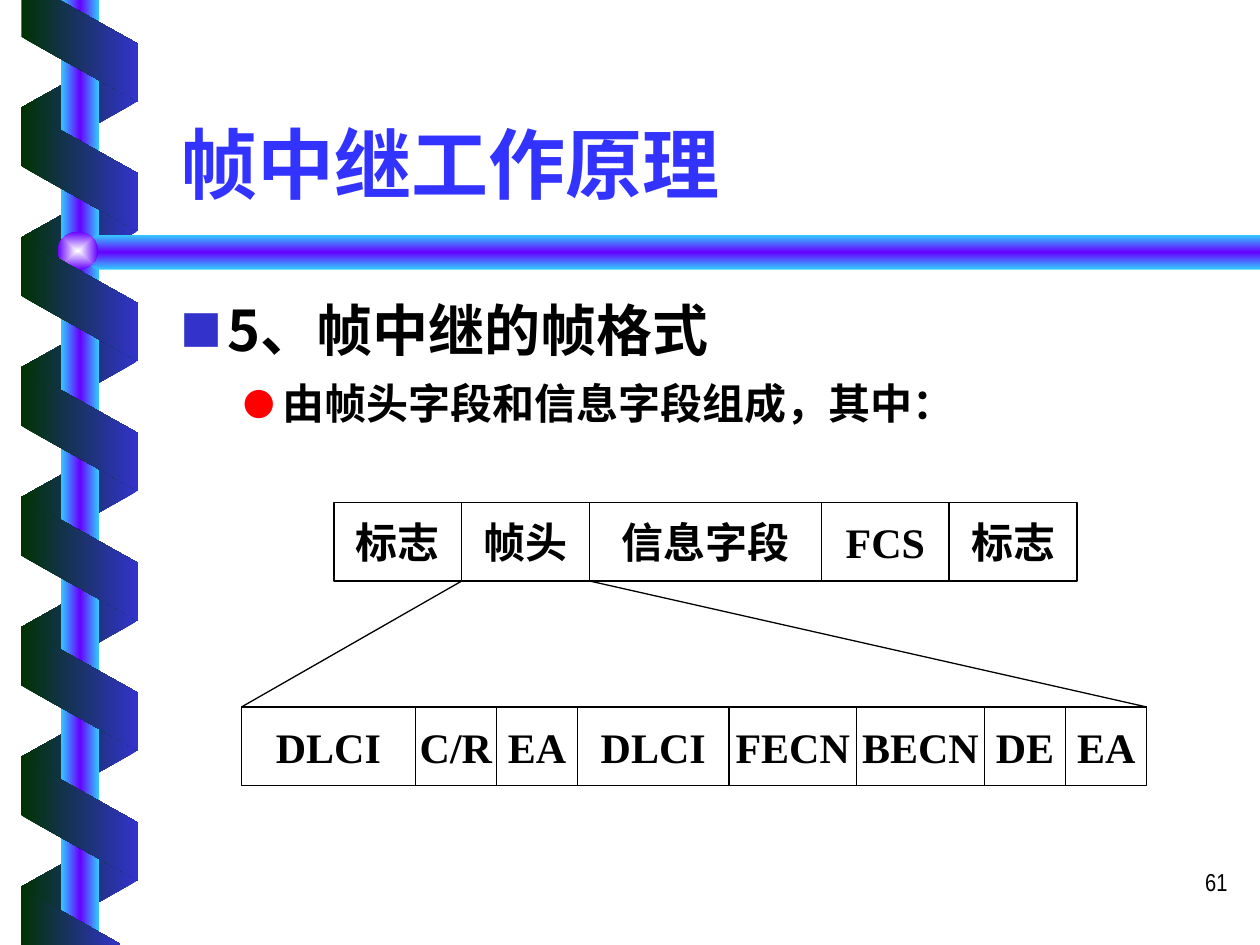
from lxml import etree
from pptx import Presentation
from pptx.dml.color import RGBColor
from pptx.enum.shapes import MSO_CONNECTOR, MSO_SHAPE
from pptx.enum.text import MSO_ANCHOR, PP_ALIGN
from pptx.oxml.ns import qn
from pptx.util import Pt

RECT = MSO_SHAPE.RECTANGLE
OVAL = MSO_SHAPE.OVAL
SLANT = MSO_SHAPE.PARALLELOGRAM
STRAIGHT = MSO_CONNECTOR.STRAIGHT
LEFT, CENTER, RIGHT = PP_ALIGN.LEFT, PP_ALIGN.CENTER, PP_ALIGN.RIGHT
MIDDLE, BOTTOM = MSO_ANCHOR.MIDDLE, MSO_ANCHOR.BOTTOM

COLORS = {
    "black": "000000",
    "title": "3333FF",
    "blue": "3333CC",
    "green": "003300",
    "cyan": "33CCFF",
    "violet": "6600FF",
    "white": "FEFFFF",
    "red": "FF0000",
}
SANS = "Noto Sans CJK SC"
SERIF = "Times New Roman"
NARROW = "Arial Narrow"

STEP = 74.2
BAR = ["cyan", "violet", "cyan"]
FRONT = ["green", "blue"]
BACK = ["blue", "green"]
FRAME = [("标志", 73), ("帧头", 73), ("信息字段", 132.5), ("FCS", 73), ("标志", 73)]
HEADER = [
    ("DLCI", 99.3), ("C/R", 46.4), ("EA", 46.4), ("DLCI", 86.4),
    ("FECN", 73), ("BECN", 73), ("DE", 46.4), ("EA", 46.4),
]


def rgb(name):
    return RGBColor.from_string(COLORS[name])


def style(para, size, face, color="black", bold=True):
    for run in para.runs:
        font = run.font
        font.size, font.bold, font.name = Pt(size), bold, face
        font.color.rgb = rgb(color)
        east = etree.Element(qn("a:ea"), typeface=SANS)
        font._element.find(qn("a:latin")).addnext(east)


def shade(shape, names, angle=0):
    shape.shadow.inherit = False
    shape.line.fill.background()
    shape.fill.gradient()
    grad = shape._element.spPr.find(qn("a:gradFill"))
    grad.set("rotWithShape", "0")
    for child in list(grad):
        grad.remove(child)
    stops = etree.SubElement(grad, qn("a:gsLst"))
    for i, name in enumerate(names):
        place = str(100000 * i // (len(names) - 1))
        stop = etree.SubElement(stops, qn("a:gs"), pos=place)
        etree.SubElement(stop, qn("a:srgbClr"), val=COLORS[name])
    if angle is None:
        path = etree.SubElement(grad, qn("a:path"), path="rect")
        etree.SubElement(path, qn("a:fillToRect"), l="50000", t="50000", r="50000", b="50000")
    else:
        etree.SubElement(grad, qn("a:lin"), ang=str(angle * 60000), scaled="0")


def add_shape(slide, kind, x, y, w, h):
    return slide.shapes.add_shape(kind, Pt(x), Pt(y), Pt(w), Pt(h))


def add_band(slide, y, h, turn, names):
    band = add_shape(slide, SLANT, 10.1, y, 70.6, h)
    band.adjustments[0] = 0.56
    band.rotation = turn
    if turn == 90:
        band._element.spPr.find(qn("a:xfrm")).set("flipH", "1")
    shade(band, names)


def add_free(slide, points, names, angle=0):
    first, *rest = [(Pt(x), Pt(y)) for x, y in points]
    pen = slide.shapes.build_freeform(*first, scale=1.0)
    pen.add_line_segments(rest, close=True)
    shade(pen.convert_to_shape(), names, angle)


def add_decor(slide):
    for i in range(7):
        add_band(slide, 26.6 + i * STEP, 66.2, 90, BACK)
    shade(add_shape(slide, RECT, 34.8, 0, 21.8, 540), BAR)
    add_free(slide, [(720, 134.2), (55, 134.2), (43.5, 144), (55, 154.1), (720, 154.1)], BAR, 90)
    shade(add_shape(slide, OVAL, 33, 132.5, 23, 21.6), ["white", "violet"], None)
    for i in range(6):
        add_band(slide, 63.4 + i * STEP, 67, 270, FRONT)
    add_free(slide, [(12.2, 0), (12.2, 21), (78.7, 58.2), (78.7, 25), (34, 0)], FRONT)
    add_free(slide, [(69, 539.6), (12.2, 507.5), (11.8, 540)], FRONT)


def add_box(slide, x, y, w, h):
    frame = slide.shapes.add_textbox(Pt(x), Pt(y), Pt(w), Pt(h)).text_frame
    frame.word_wrap = True
    return frame


def add_title(slide, text):
    title = slide.shapes.title
    title.left, title.top, title.width, title.height = Pt(95.8), Pt(33), Pt(612), Pt(90)
    frame = title.text_frame
    frame.text = text
    frame.vertical_anchor = BOTTOM
    para = frame.paragraphs[0]
    para.alignment = LEFT
    style(para, 44, SANS, "title")


def add_point(para, text, level, size, mark, color, left, hang, space):
    para.text = text
    para.level = level
    para.line_spacing = space
    props = para._p.get_or_add_pPr()
    props.set("marL", str(Pt(left)))
    props.set("indent", str(-Pt(hang)))
    tint = etree.SubElement(props, qn("a:buClr"))
    etree.SubElement(tint, qn("a:srgbClr"), val=COLORS[color])
    etree.SubElement(props, qn("a:buSzPct"), val="75000")
    etree.SubElement(props, qn("a:buFont"), typeface=SANS)
    etree.SubElement(props, qn("a:buChar"), char=mark)
    style(para, size, SANS)


def add_row(slide, x, y, h, cells):
    for text, w in cells:
        cell = add_shape(slide, RECT, x, y, w, h)
        cell.shadow.inherit = False
        cell.fill.background()
        cell.line.color.rgb = rgb("black")
        cell.line.width = Pt(0.75)
        frame = cell.text_frame
        frame.margin_left = frame.margin_right = 0
        frame.margin_top = frame.margin_bottom = 0
        frame.word_wrap = False
        frame.vertical_anchor = MIDDLE
        frame.text = text
        frame.paragraphs[0].alignment = CENTER
        style(frame.paragraphs[0], 24, SERIF)
        x += w
    return x


def add_line(slide, x1, y1, x2, y2):
    line = slide.shapes.add_connector(STRAIGHT, Pt(x1), Pt(y1), Pt(x2), Pt(y2))
    line.line.color.rgb = rgb("black")
    line.line.width = Pt(0.75)
    etree.SubElement(line._element.spPr, qn("a:effectLst"))


def main():
    deck = Presentation()
    deck.slide_width, deck.slide_height = Pt(720), Pt(540)
    slide = deck.slides.add_slide(deck.slide_layouts[5])
    add_decor(slide)

    page = add_box(slide, 558.7, 491.8, 149.8, 36)
    page.text = "61"
    page.paragraphs[0].alignment = RIGHT
    style(page.paragraphs[0], 14, NARROW, bold=False)

    add_title(slide, "帧中继工作原理")
    body = add_box(slide, 95.8, 161.3, 612, 103.7)
    add_point(body.paragraphs[0], "5、帧中继的帧格式", 0, 32, "■", "blue", 27, 27, 1.1)
    add_point(body.add_paragraph(), "由帧头字段和信息字段组成，其中：", 1, 24, "●", "red", 58.5, 22.5, 1.3)

    left, top, tall = 190.9, 287, 45
    base, low = 138, 404
    add_row(slide, left, top, tall, FRAME)
    end = add_row(slide, base, low, tall, HEADER)
    start = left + FRAME[0][1]
    add_line(slide, start, top + tall, base, low)
    add_line(slide, start + FRAME[1][1], top + tall, end, low)

    deck.save("out.pptx")


if __name__ == "__main__":
    main()
